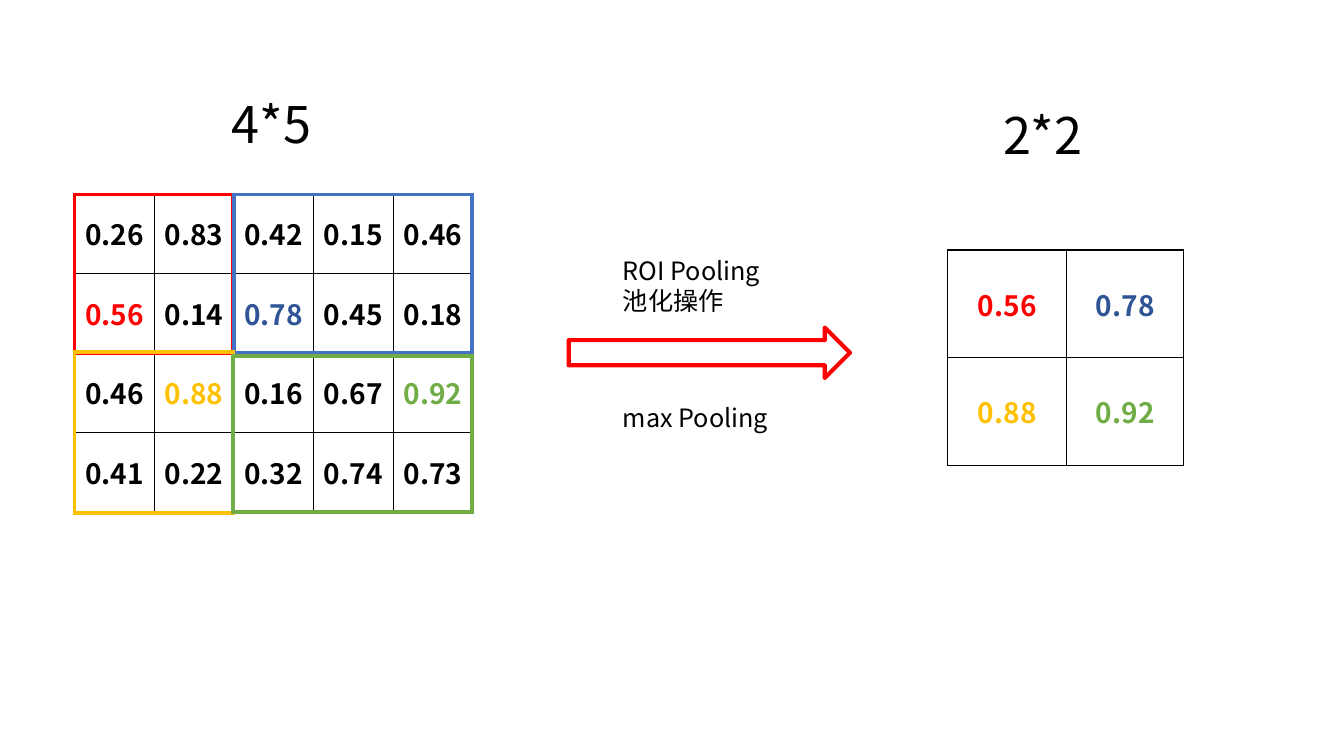
from dataclasses import dataclass

from lxml.etree import SubElement
from pptx import Presentation
from pptx.dml.color import RGBColor
from pptx.enum.shapes import MSO_SHAPE
from pptx.enum.text import MSO_ANCHOR, MSO_AUTO_SIZE, PP_ALIGN
from pptx.oxml import parse_xml
from pptx.oxml.ns import nsdecls, qn
from pptx.util import Inches, Pt

FONT = "Noto Sans CJK SC"
BLACK, RED, NAVY, BLUE = "000000", "FF0000", "2F5597", "4472C4"
GOLD, GREEN = "FFC000", "70AD47"


@dataclass
class Grid:
    left: float
    top: float
    cols: list[float]
    rows: list[float]
    values: list[list[str]]
    maxima: dict[str, str]
    border: str = BLACK
    weight: float = 1


@dataclass
class Label:
    left: float
    top: float
    width: float
    height: float
    text: str
    size: int


def rgb(color: str) -> RGBColor:
    return RGBColor.from_string(color)


def format_text(tf, size: int, color: str, bold: bool = False) -> None:
    for p in tf.paragraphs:
        for r in p.runs:
            r.font.name = FONT
            r.font.size = Pt(size)
            r.font.bold = bold
            r.font.color.rgb = rgb(color)
            SubElement(r.font._element, qn("a:ea")).set("typeface", FONT)


def set_borders(cell, color: str, weight: float) -> None:
    tc_pr = cell._tc.get_or_add_tcPr()
    for i, side in enumerate(("lnL", "lnR", "lnT", "lnB")):
        tc_pr.insert(i, parse_xml(
            f'<a:{side} {nsdecls("a")} w="{Pt(weight)}"><a:solidFill>'
            f'<a:srgbClr val="{color}"/></a:solidFill></a:{side}>'))


def draw_grid(s, grid: Grid) -> None:
    table = s.shapes.add_table(
        len(grid.rows), len(grid.cols), Inches(grid.left), Inches(grid.top),
        Inches(sum(grid.cols)), Inches(sum(grid.rows))).table
    table.first_row = table.horz_banding = False
    for col, width in zip(table.columns, grid.cols):
        col.width = Inches(width)
    for row, height, values in zip(table.rows, grid.rows, grid.values):
        row.height = Inches(height)
        for cell, value in zip(row.cells, values):
            cell.fill.background()
            set_borders(cell, grid.border, grid.weight)
            cell.vertical_anchor = MSO_ANCHOR.MIDDLE
            if value:
                tf = cell.text_frame
                tf.text = value
                tf.paragraphs[0].alignment = PP_ALIGN.CENTER
                format_text(tf, 20, grid.maxima.get(value, BLACK), True)


def draw_label(s, label: Label) -> None:
    tf = s.shapes.add_textbox(
        Inches(label.left), Inches(label.top),
        Inches(label.width), Inches(label.height)).text_frame
    tf.word_wrap = True
    tf.auto_size = MSO_AUTO_SIZE.SHAPE_TO_FIT_TEXT
    tf.text = label.text
    format_text(tf, label.size, BLACK)


def draw_arrow(s) -> None:
    sp = s.shapes.add_shape(MSO_SHAPE.RIGHT_ARROW, Inches(5.64), Inches(3.25),
                            Inches(2.79), Inches(0.5))
    sp.shadow.inherit = False
    sp.fill.background()
    sp.line.color.rgb = rgb(RED)
    sp.line.width = Pt(3)


def region(left: float, top: float, width: float, height: float,
           color: str) -> Grid:
    return Grid(left, top, [width], [height], [[""]], {}, color, 3)


MAXIMA = {"0.56": RED, "0.78": NAVY, "0.88": GOLD, "0.92": GREEN}
FEATURES = [
    ["0.26", "0.83", "0.42", "0.15", "0.46"],
    ["0.56", "0.14", "0.78", "0.45", "0.18"],
    ["0.46", "0.88", "0.16", "0.67", "0.92"],
    ["0.41", "0.22", "0.32", "0.74", "0.73"],
]
POOLED = [["0.56", "0.78"], ["0.88", "0.92"]]
GRIDS = [
    Grid(0.74, 1.92, [0.79] * 5, [0.79] * 4, FEATURES, MAXIMA),
    Grid(9.4, 2.48, [1.18, 1.16], [1.07] * 2, POOLED, MAXIMA),
    region(0.74, 1.93, 1.57, 1.57, RED),
    region(2.32, 1.93, 2.36, 1.57, BLUE),
    region(0.74, 3.49, 1.57, 1.6, GOLD),
    region(2.31, 3.53, 2.37, 1.55, GREEN),
]
LABELS = [
    Label(2.2, 0.87, 1.02, 0.71, "4*5", 36),
    Label(9.85, 0.98, 1.02, 0.71, "2*2", 36),
    Label(6.08, 2.48, 1.93, 0.71, "ROI Pooling\n池化操作", 18),
    Label(6.08, 3.94, 1.93, 0.4, "max Pooling", 18),
]

prs = Presentation()
prs.slide_width, prs.slide_height = Inches(13.33), Inches(7.5)
s = prs.slides.add_slide(prs.slide_layouts[6])
for grid in GRIDS:
    draw_grid(s, grid)
draw_arrow(s)
for label in LABELS:
    draw_label(s, label)
prs.save("out.pptx")
